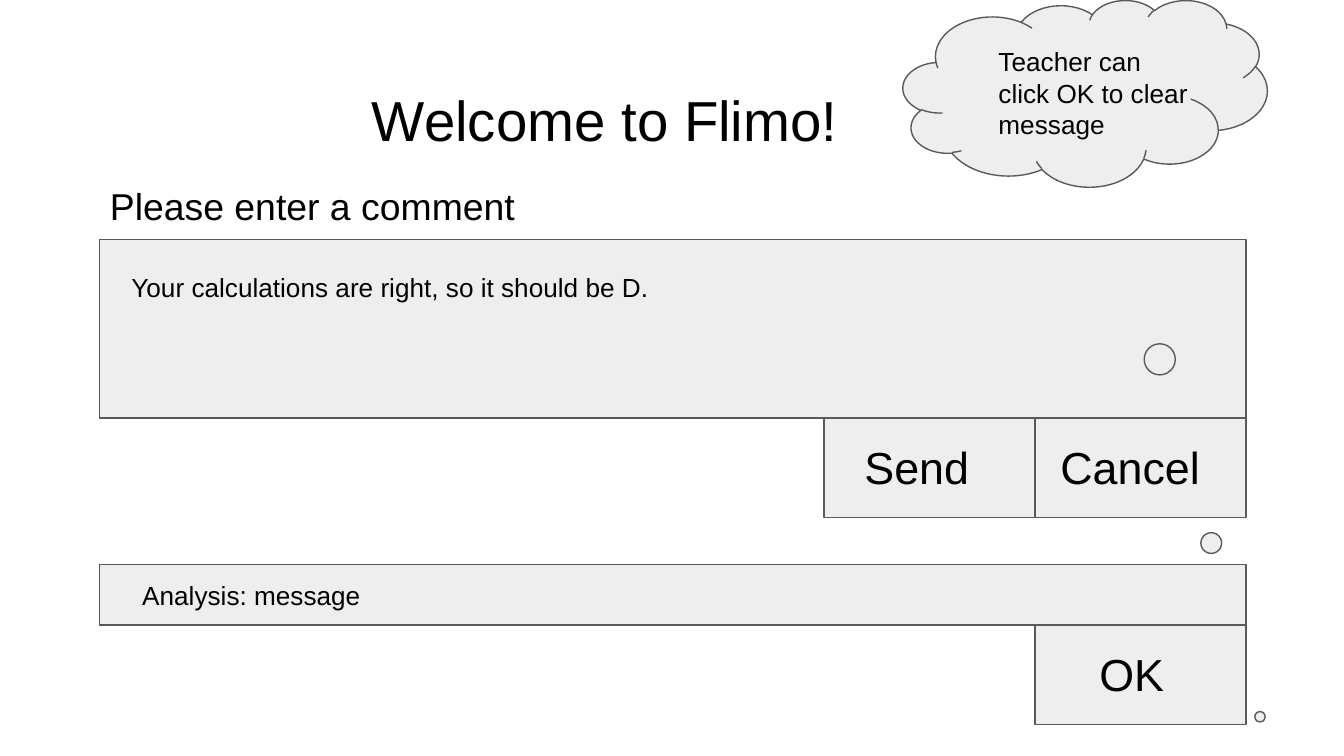
from pptx import Presentation
from pptx.dml.color import RGBColor
from pptx.enum import shapes, text
from pptx.util import Pt

PANEL, OUTLINE, INK = "EEEEEE", "595959", "000000"
LEFT, WIDTH = 53.3, 614.2
BUTTON_WIDTH, BUTTON_HEIGHT = 113, 53.3


def color(value):
    """Turn a hex string into a colour."""
    return RGBColor.from_string(value)


def add_panel(slide, box, kind=shapes.MSO_SHAPE.RECTANGLE):
    """Add a grey outlined shape in the box (left, top, width, height)."""
    shape = slide.shapes.add_shape(kind, *map(Pt, box))
    shape.shadow.inherit = False
    shape.fill.solid()
    shape.fill.fore_color.rgb = color(PANEL)
    shape.line.color.rgb = color(OUTLINE)
    shape.line.width = Pt(0.75)
    return shape


def add_label(slide, box, words, size):
    """Add a left-aligned text box with wrapped text."""
    frame = slide.shapes.add_textbox(*map(Pt, box)).text_frame
    frame.word_wrap = True
    frame.vertical_anchor = text.MSO_ANCHOR.TOP
    frame.margin_left = frame.margin_right = Pt(7.2)
    frame.margin_top = frame.margin_bottom = Pt(7.2)
    run = frame.paragraphs[0].add_run()
    run.text = words
    run.font.name = "Arial"
    run.font.size = Pt(size)
    run.font.color.rgb = color(INK)


def add_button(slide, right, top, words, indent, label_width):
    """Add a button that ends at the right edge, with its label."""
    left = right - BUTTON_WIDTH
    add_panel(slide, (left, top, BUTTON_WIDTH, BUTTON_HEIGHT))
    add_label(slide, (left + indent, top + 4.6, label_width, 44), words, 24)


def add_entry(slide, box, words, text_box, buttons):
    """Add a field with its text and a row of buttons below, from the right."""
    left, top, width, height = box
    add_panel(slide, box)
    x, y, label_width, label_height = text_box
    add_label(slide, (left + x, top + y, label_width, label_height), words, 14)
    for index, button in enumerate(buttons):
        right = left + width - index * BUTTON_WIDTH
        add_button(slide, right, top + height, *button)


def add_thought(slide, box, words):
    """Add a cloud callout whose bubbles lead to the OK button."""
    left, top, width, height = box
    cloud = add_panel(slide, box, shapes.MSO_SHAPE.CLOUD_CALLOUT)
    cloud.adjustments[0], cloud.adjustments[1] = 0.48, 3.34
    add_label(slide, (left + 44, top + 17.3, 117.5, 65.5), words, 14)


def main():
    """Build the comment screen."""
    presentation = Presentation()
    presentation.slide_width, presentation.slide_height = Pt(720), Pt(405)
    slide = presentation.slides.add_slide(presentation.slide_layouts[6])
    add_label(slide, (192.2, 38.2, 335.5, 45.4), "Welcome to Flimo!", 30.2)
    add_label(slide, (51.8, 90.7, 345.6, 39), "Please enter a comment", 20)
    add_entry(slide, (LEFT, 128.2, WIDTH, 95.8),
              "Your calculations are right, so it should be D.",
              (10, 10, 378, 32),
              [("Cancel", 6.5, 92), ("Send", 14.5, 75.6)])
    add_thought(slide, (483.8, 0, 195.1, 100),
                "Teacher can click OK to clear message")
    add_entry(slide, (LEFT, 302.4, WIDTH, 32.4), "Analysis: message",
              (15.8, 0.6, 299, 32), [("OK", 27.4, 50)])
    presentation.save("out.pptx")


main()
